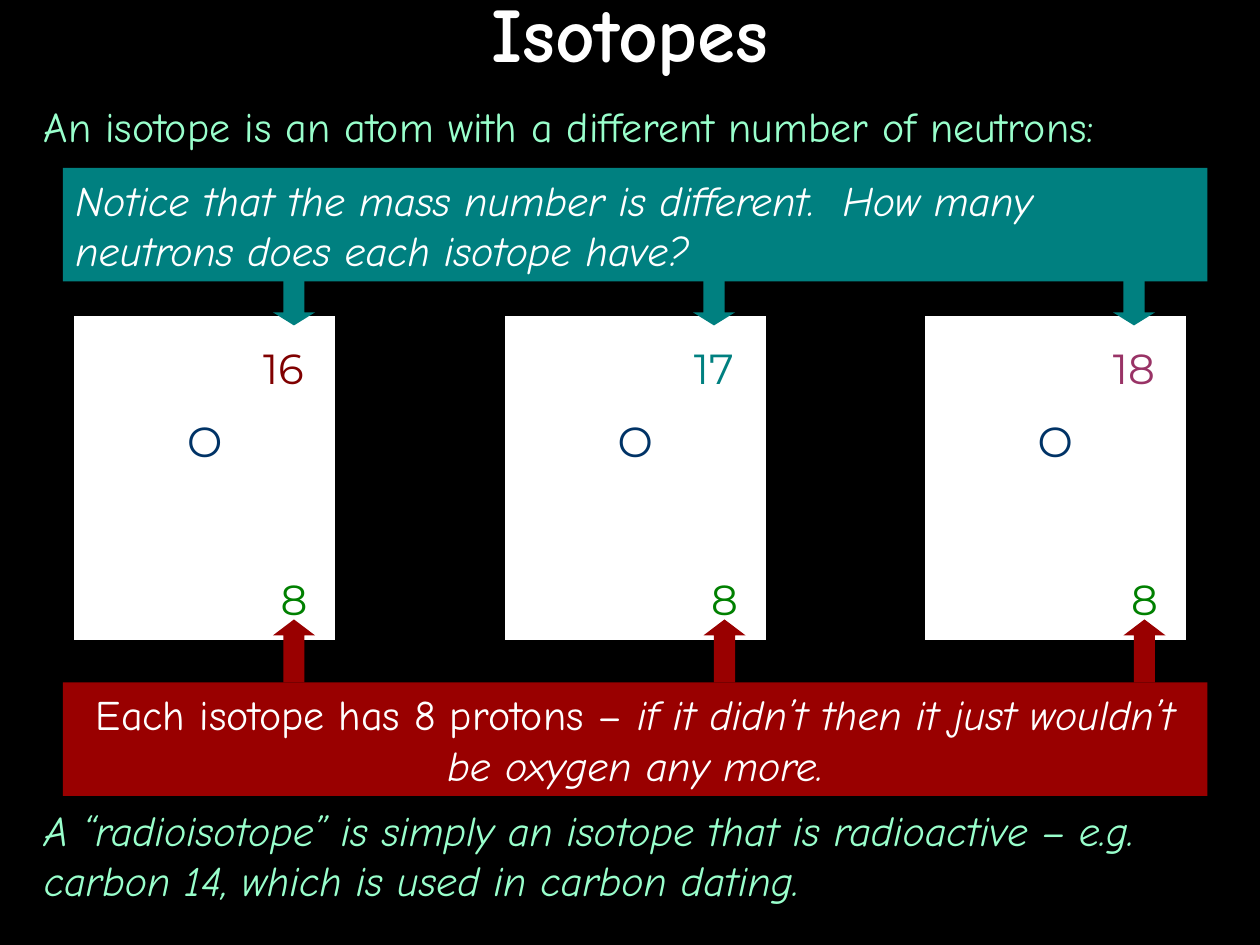
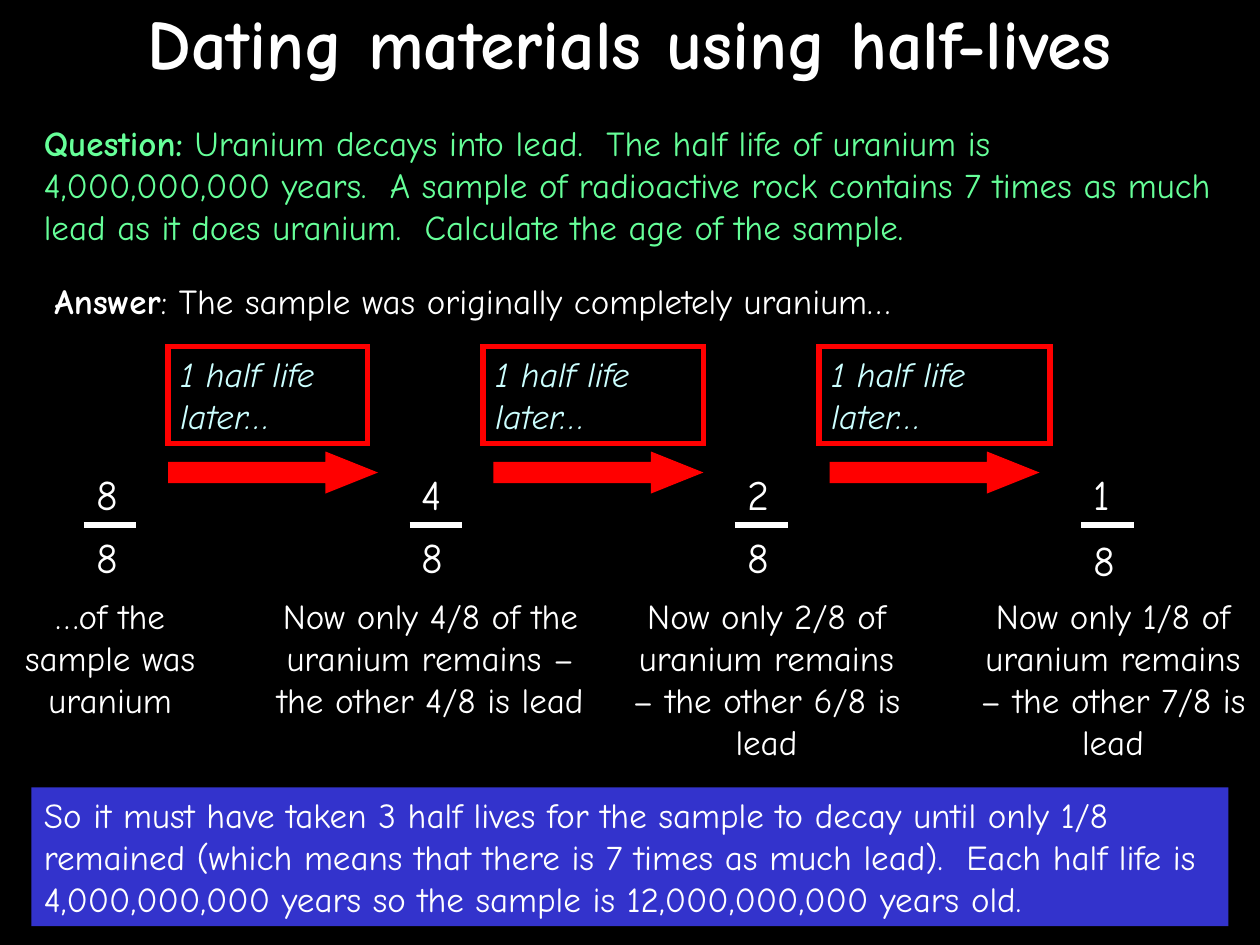
from lxml import etree
from pptx import Presentation
from pptx import util as u
from pptx.dml.color import RGBColor
from pptx.enum import shapes, text
from pptx.oxml.ns import qn

# Shared grid: 120 columns by 90 rows, 12 to the inch
CELL = u.Inches(1) // 12
COLS, ROWS = 120, 90
FONT, SYMBOL_FONT = "Comic Neue", "Montserrat"
COLOURS = {
    "black": "000000", "white": "FFFFFF", "mint": "99FFCC", "green": "66FF99",
    "ice": "CCFFFF", "teal": "008080", "dark red": "990000", "red": "FF0000",
    "blue": "3333CC", "navy": "003366", "proton": "008000",
    "maroon": "800000", "plum": "993366",
}
LEFT, CENTRE = text.PP_ALIGN.LEFT, text.PP_ALIGN.CENTER
SHAPE = shapes.MSO_SHAPE


def colour(name):
    return RGBColor.from_string(COLOURS[name])


def cells(*counts):
    return [u.Emu(round(count * CELL)) for count in counts]


def write(box, spans, size, ink, align=LEFT, font=FONT,
          anchor=text.MSO_ANCHOR.TOP):
    """Fill a box with one paragraph of (wording, style) spans."""
    frame = box.text_frame
    frame.word_wrap = True
    frame.vertical_anchor = anchor
    para = frame.paragraphs[0]
    para.alignment = align
    for wording, style in spans:
        span = para.add_run()
        span.text = wording
        span.font.name = font
        span.font.size = u.Pt(size)
        span.font.bold = style == "bold"
        span.font.italic = style == "italic"
        span.font.color.rgb = colour(ink)


def add_text(page, place, spans, size, ink="white", **options):
    box = page.shapes.add_textbox(*cells(*place))
    write(box, spans, size, ink, **options)


def add_block(page, kind, place, fill=None, line=None, weight=0.75):
    block = page.shapes.add_shape(kind, *cells(*place))
    block.shadow.inherit = False
    if fill:
        block.fill.solid()
        block.fill.fore_color.rgb = colour(fill)
    else:
        block.fill.background()
    if line:
        block.line.color.rgb = colour(line)
        block.line.width = u.Pt(weight)
        # Square corners
        outline = block._element.spPr.find(qn("a:ln"))
        etree.SubElement(outline, qn("a:miter"), lim="800000")
    else:
        block.line.fill.background()
    return block


def add_arrow(page, kind, place, fill, head):
    arrow = add_block(page, kind, place, fill)
    arrow.adjustments[0] = 0.5
    arrow.adjustments[1] = head


def add_page(deck, title, size, height):
    """Black page with a centred bold title across the top."""
    page = deck.slides.add_slide(deck.slide_layouts[6])
    page.background.fill.solid()
    page.background.fill.fore_color.rgb = colour("black")
    add_text(page, (0, 0, COLS, height), [(title, "bold")], size,
             align=CENTRE, anchor=text.MSO_ANCHOR.MIDDLE)
    return page


def add_isotope(page, col, mass, ink):
    """White card with the symbol, proton number and mass number."""
    add_block(page, SHAPE.RECTANGLE, (col, 30, 25, 31), "white", "black")
    labels = [("O", (col + 7, 39, 11, 6), "navy"),
              ("8", (col + 16, 54, 10, 6), "proton"),
              (mass, (col + 14, 32, 12, 6), ink)]
    for label, place, label_ink in labels:
        add_text(page, place, [(label, None)], 24, label_ink,
                 align=CENTRE, font=SYMBOL_FONT)


def add_fraction(page, col, top, lower_row=50):
    """Number of eighths, stacked over and under a bar."""
    bar = page.shapes.add_connector(shapes.MSO_CONNECTOR.STRAIGHT,
                                    *cells(col, 50, col + 5, 50))
    bar.line.color.rgb = colour("white")
    bar.line.width = u.Pt(3)
    etree.SubElement(bar._element.spPr, qn("a:effectLst"))
    for digit, row in ((top, 44), ("8", lower_row)):
        add_text(page, (col, row, 11, 6), [(digit, None)], 24)


def add_half_life(page, box_col, box_width, arrow_col):
    """Red arrow with its framed caption above."""
    add_arrow(page, SHAPE.RIGHT_ARROW, (arrow_col, 43, 20, 4), "red", 1.25)
    frame = add_block(page, SHAPE.RECTANGLE, (box_col, 33, box_width, 9.25),
                      line="red", weight=3)
    write(frame, [("1 half life later…", "italic")], 20, "ice")


def build_isotopes(deck):
    page = add_page(deck, "Isotopes", 44, 6)
    add_text(page, (3, 9, 114, 6), [
        ("An isotope is an atom with a different number of neutrons:", None),
    ], 24, "mint")

    # Three oxygen isotopes
    card_cols = (7, 48, 88)
    for col, mass, ink in zip(card_cols, ("16", "17", "18"),
                              ("maroon", "teal", "plum")):
        add_isotope(page, col, mass, ink)

    # Proton band, pointing up at each proton number
    band = add_block(page, SHAPE.RECTANGLE, (6, 65, 109, 10.8), "dark red")
    write(band, [
        ("Each isotope has 8 protons – ", None),
        ("if it didn’t then it just wouldn’t be oxygen any more.", "italic"),
    ], 24, "white", CENTRE)
    for col in card_cols:
        add_arrow(page, SHAPE.UP_ARROW, (col + 19, 59, 4, 6), "dark red", 0.38)

    # Mass band, pointing down at each mass number
    band = add_block(page, SHAPE.RECTANGLE, (6, 16, 109, 10.8), "teal")
    write(band, [("Notice that the mass number is different.  How many "
                  "neutrons does each isotope have?", "italic")], 24, "white")
    for step in range(3):
        add_arrow(page, SHAPE.DOWN_ARROW, (26 + 40 * step, 26, 4, 5),
                  "teal", 0.31)

    add_text(page, (3, 76, 114, 10.8), [
        ("A “radioisotope” is simply an isotope that is radioactive – e.g. "
         "carbon 14, which is used in carbon dating.", "italic"),
    ], 24, "mint")


def build_dating(deck):
    page = add_page(deck, "Dating materials using half-lives", 40, 8)

    # Question and start of the answer
    add_text(page, (3, 11, 114, 13.2), [
        ("Question:", "bold"),
        (" Uranium decays into lead.  The half life of uranium is "
         "4,000,000,000 years.  A sample of radioactive rock contains 7 times "
         "as much lead as it does uranium.  Calculate the age of the sample.",
         None),
    ], 20, "green")
    add_text(page, (4, 26, 112, 5.3), [
        ("Answer", "bold"),
        (": The sample was originally completely uranium…", None),
    ], 20)

    # Remaining uranium: fraction column, numerator, denominator row
    for fraction in ((8, "8"), (39, "4"), (70, "2"), (103, "1", 50.3)):
        add_fraction(page, *fraction)
    captions = [
        (0, 21, "…of the sample was uranium"),
        (25, 32, "Now only 4/8 of the uranium remains – the other 4/8 is lead"),
        (59, 28, "Now only 2/8 of uranium remains – the other 6/8 is lead"),
        (92, 28, "Now only 1/8 of uranium remains – the other 7/8 is lead"),
    ]
    for col, width, caption in captions:
        add_text(page, (col, 56, width, 17.3), [(caption, None)], 20,
                 align=CENTRE)

    # Conclusion
    band = add_block(page, SHAPE.RECTANGLE, (3, 75, 114, 13.2), "blue")
    write(band, [
        ("So it must have taken 3 half lives for the sample to decay until "
         "only 1/8 remained (which means that there is 7 times as much "
         "lead).  Each half life is 4,000,000,000 years so the sample is "
         "12,000,000,000 years old.", None),
    ], 20, "white")

    # Steps between the fractions
    for step in ((16, 19, 16), (46, 21, 47), (78, 22, 79)):
        add_half_life(page, *step)


def main():
    deck = Presentation()
    deck.slide_width, deck.slide_height = cells(COLS, ROWS)
    build_isotopes(deck)
    build_dating(deck)
    deck.save("out.pptx")


if __name__ == "__main__":
    main()
